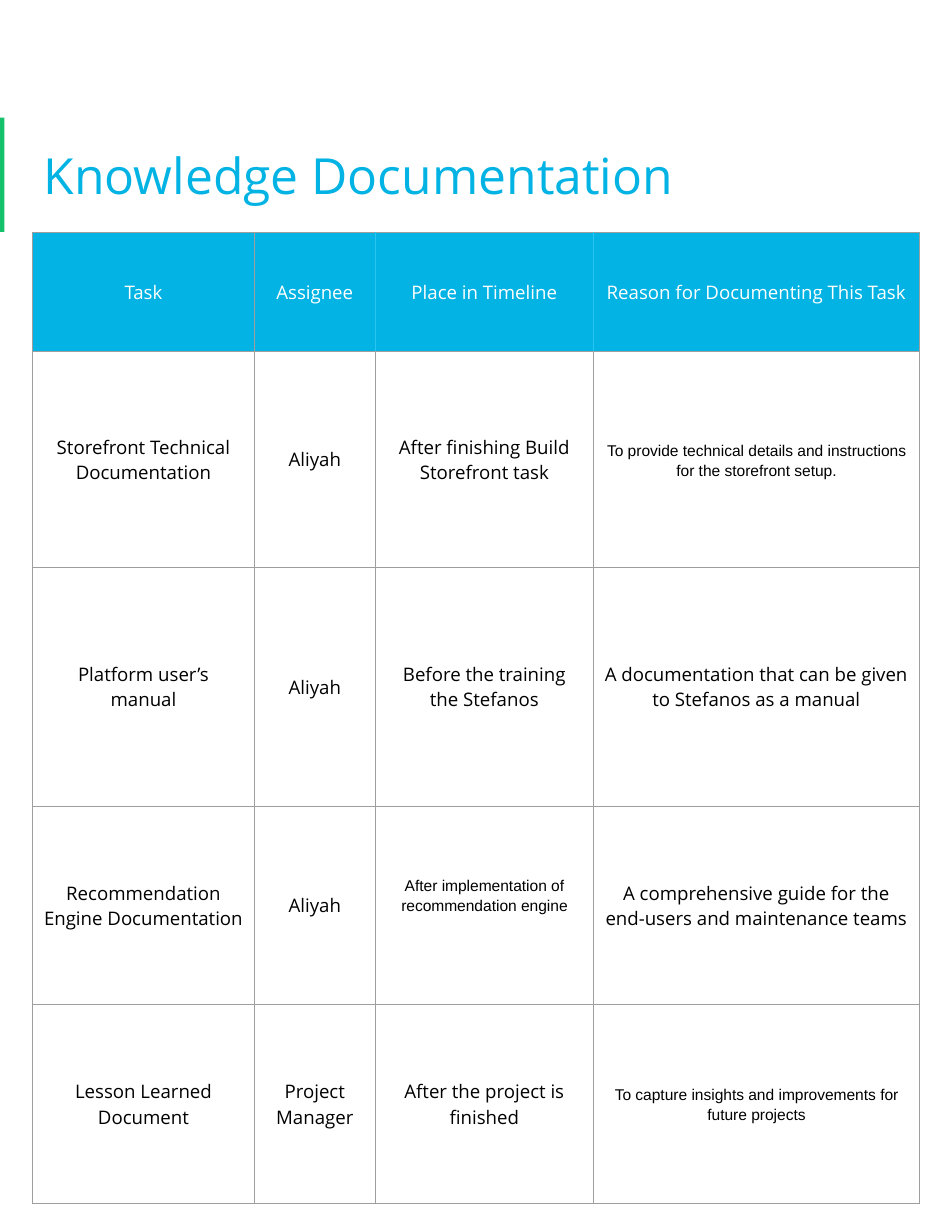
"""Build the Knowledge Documentation page with its table of documentation tasks."""
from pptx import Presentation
from pptx.dml.color import RGBColor as Rgb
from pptx.enum.shapes import MSO_SHAPE as Shape
from pptx.enum.text import MSO_ANCHOR as Anchor, PP_ALIGN as Align
from pptx.oxml.ns import qn
from pptx.util import Cm, Pt
from lxml.etree import SubElement

TITLE = "Knowledge Documentation"
HEADER = ["Task", "Assignee", "Place in Timeline", "Reason for Documenting This Task"]
TASKS = [
    ["Storefront Technical Documentation", "Aliyah", "After finishing Build Storefront task",
     "To provide technical details and instructions for the storefront setup."],
    ["Platform user’s manual", "Aliyah", "Before the training the Stefanos",
     "A documentation that can be given to Stefanos as a manual"],
    ["Recommendation Engine Documentation", "Aliyah",
     "After implementation of recommendation engine",
     "A comprehensive guide for the end-users and maintenance teams"],
    ["Lesson Learned Document", "Project Manager", "After the project is finished",
     "To capture insights and improvements for future projects"],
]
SMALL_PRINT = {(1, 3), (3, 2), (4, 3)}
RAISED = (3, 2)
COLORS = {"accent": "15C26B", "blue": "02B3E4", "pale": "29C5F0", "grid": "9E9E9E",
          "white": "FFFFFF", "black": "000000"}
COLUMN_WIDTHS = [5.03, 2.74, 4.95, 7.39]
ROW_HEIGHTS = [2.7, 4.91, 5.4, 4.51, 4.5]
LEFT, TABLE_TOP, INSET = 0.74, 5.27, 0.25


def color(name):
    return Rgb.from_string(COLORS[name])


def write(frame, text, size, font, ink, align):
    paragraph = frame.paragraphs[0]
    paragraph.alignment = align
    run = paragraph.add_run()
    run.text = text
    run.font.size, run.font.name = Pt(size), font
    run.font.color.rgb = color(ink)
    return paragraph


def set_insets(holder):
    holder.margin_left = holder.margin_right = Cm(INSET)
    holder.margin_top = holder.margin_bottom = Cm(INSET)
    holder.vertical_anchor = Anchor.MIDDLE


def draw_borders(cell, pale_sides):
    properties = cell._tc.get_or_add_tcPr()
    for index, side in enumerate(("lnL", "lnR", "lnT", "lnB")):
        line = SubElement(properties, qn(f"a:{side}"), w=str(Pt(0.75)))
        fill = SubElement(line, qn("a:solidFill"))
        shade = "pale" if side in pale_sides else "grid"
        SubElement(fill, qn("a:srgbClr"), val=COLORS[shade])
        properties.remove(line)
        properties.insert(index, line)


def fill_cell(cell, row, column, text):
    header, small = row == 0, (row, column) in SMALL_PRINT
    set_insets(cell)
    if (row, column) == RAISED:
        cell.margin_bottom = Cm(3 * INSET)
    paragraph = write(cell.text_frame, text, 10 if small else 12,
                      "Arial" if small else "Open Sans",
                      "white" if header else "black", Align.CENTER)
    if small:
        paragraph.line_spacing = 1.15
    if header:
        cell.fill.solid()
        cell.fill.fore_color.rgb = color("blue")
    else:
        cell.fill.background()
    pale_edges = {1: ["lnR"], 2: ["lnL", "lnR"], 3: ["lnL"]}
    draw_borders(cell, pale_edges.get(column, []) if header else [])


def main():
    deck = Presentation()
    deck.slide_width, deck.slide_height = Cm(21.59), Cm(27.94)
    slide = deck.slides.add_slide(deck.slide_layouts[6])

    accent = slide.shapes.add_shape(Shape.RECTANGLE, 0, Cm(2.67), Cm(0.1), Cm(2.59))
    accent.shadow.inherit = False
    accent.fill.solid()
    accent.fill.fore_color.rgb = color("accent")
    accent.line.fill.background()

    title = slide.shapes.add_textbox(Cm(LEFT), Cm(2.41), Cm(20.12), Cm(3.1)).text_frame
    title.word_wrap = True
    set_insets(title)
    write(title, TITLE, 32, "Open Sans", "blue", Align.LEFT)

    rows = [HEADER, *TASKS]
    table = slide.shapes.add_table(
        len(rows), len(HEADER), Cm(LEFT), Cm(TABLE_TOP),
        Cm(sum(COLUMN_WIDTHS)), Cm(sum(ROW_HEIGHTS))).table
    for column, width in zip(table.columns, COLUMN_WIDTHS):
        column.width = Cm(width)
    for row, height in zip(table.rows, ROW_HEIGHTS):
        row.height = Cm(height)
    for r, texts in enumerate(rows):
        for c, text in enumerate(texts):
            fill_cell(table.cell(r, c), r, c, text)

    deck.save("out.pptx")


if __name__ == "__main__":
    main()
